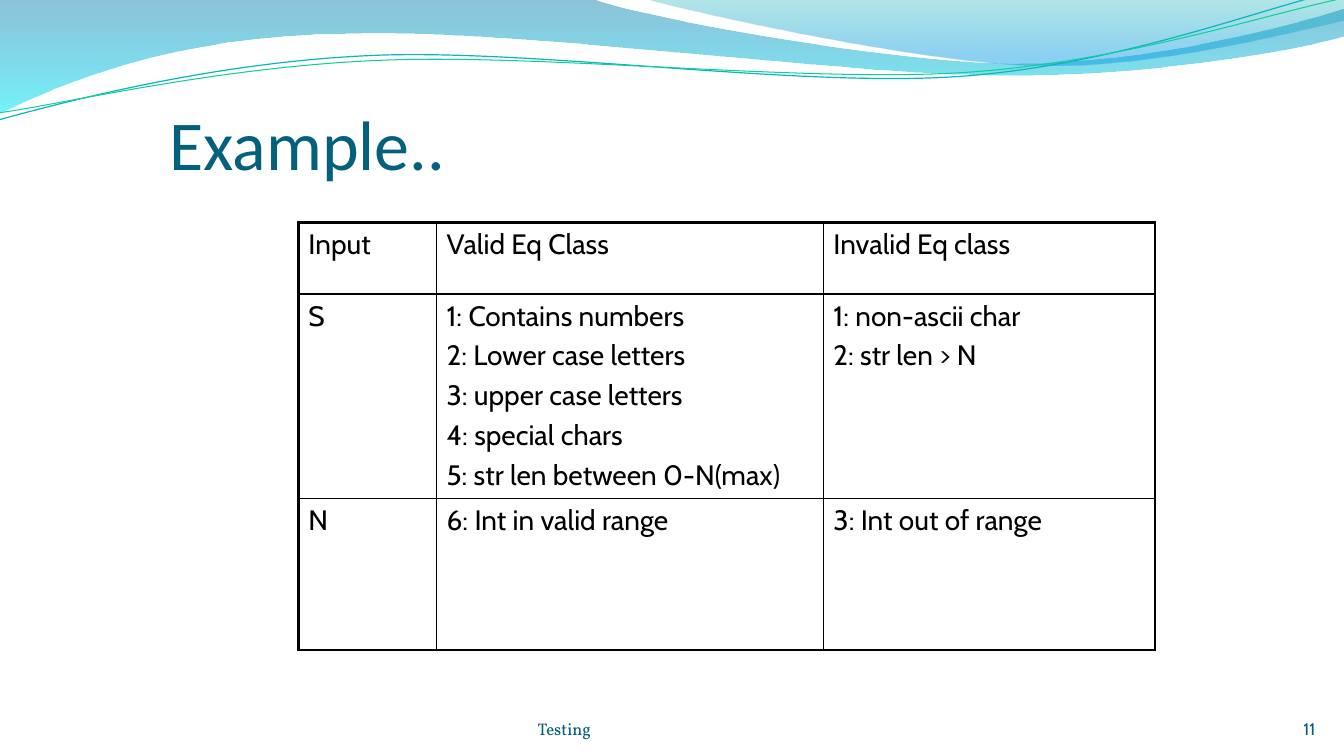
from typing import NamedTuple

from lxml.etree import SubElement as Sub
from pptx import Presentation
from pptx.dml.color import RGBColor as Rgb
from pptx.enum.text import MSO_ANCHOR as Anchor, MSO_AUTO_SIZE as Auto, PP_ALIGN as Align
from pptx.oxml.ns import qn
from pptx.util import Cm, Pt

HUES = {
    "title": "04617B", "foot": "035C75", "page": "045C75", "ink": "000000",
    "deep": "0079AD", "aqua": "00E9F7", "teal": "00ABB4", "sky": "0099E4",
    "cyan": "09B6BE", "mint": "10CF9B",
}


class Stop(NamedTuple):
    pos: int
    hue: str
    alpha: int


class Wave(NamedTuple):
    """Outline in cm: a leg of 2 numbers is straight, one of 6 is a cubic curve."""
    start: tuple
    legs: list
    stops: tuple = ()
    hue: str = ""
    width: float = 0


class Font(NamedTuple):
    name: str
    size: int
    hue: str


class Note(NamedTuple):
    text: str
    box: tuple
    font: Font
    align: Align


WAVES = [
    Wave((0, -0.03), [
        (14.91, -0.03),
        (16.1, 0.43, 22.48, 1.6, 25.68, 1.6),
        (28.91, 1.6, 32.46, 0.66, 33.86, 0.23),
        (33.91, 0.91),
        (33.3, 1.12, 29.46, 1.93, 25.25, 1.9),
        (21.06, 1.9, 12.93, 0.71, 8.71, 0.86),
        (4.37, 0.89, 1.55, 2.11, -0.03, 2.87),
        (0, -0.03),
    ], stops=(Stop(0, "deep", 45), Stop(100, "aqua", 55))),
    Wave((16.23, -0.03), [
        (17.25, 0.28, 23.09, 1.57, 26.04, 1.65),
        (28.98, 1.75, 32.56, 0.81, 33.86, 0.53),
        (33.86, 0),
        (16.23, -0.03),
    ], stops=(Stop(0, "teal", 30), Stop(80, "sky", 45), Stop(100, "sky", 45))),
    Wave((-0.03, 3.02), [
        (1.63, 2.57, 5.36, 1.57, 9.37, 1.4),
        (13.39, 1.22, 20.07, 2.21, 24.13, 1.93),
        (28.19, 1.65, 31.8, 0.2, 33.81, -0.25),
    ], hue="cyan", width=0.85),
    Wave((0, 2.84), [
        (1.6, 2.62, 5.54, 1.68, 9.6, 1.52),
        (13.64, 1.35, 20.22, 2.08, 24.26, 1.83),
        (28.32, 1.57, 31.88, 0.36, 33.88, -0.05),
    ], hue="mint", width=0.75),
]
HEAD = Font("Calibri", 50, "title")
BODY = Font("Cabin", 20, "ink")
NOTES = [
    Note("Testing", (13.55, 17.35, 10.72, 1.27), Font("Vollkorn", 12, "foot"), Align.LEFT),
    Note("11", (26.09, 17.35, 7.06, 1.27), Font("Cabin", 12, "page"), Align.RIGHT),
]
COLS = (3.48, 9.75, 8.36)
ROWS = (1.8, 5.16, 3.81)
CELLS = [
    [["Input"], ["Valid Eq Class"], ["Invalid Eq class"]],
    [["S"],
     ["1: Contains numbers", "2: Lower case letters", "3: upper case letters",
      "4: special chars", "5: str len between 0-N(max)"],
     ["1: non-ascii char", "2: str len > N"]],
    [["N"], ["6: Int in valid range"], ["3: Int out of range"]],
]


def add_run(para, text: str, font: Font) -> None:
    run = para.add_run()
    run.text = text
    run.font.name = font.name
    run.font.size = Pt(font.size)
    run.font.color.rgb = Rgb.from_string(HUES[font.hue])


def bend(shape, legs: list) -> None:
    """Join the three line steps of each curved leg into one cubic curve."""
    steps = iter(list(shape.element.iter(qn("a:lnTo"))))
    for leg in legs:
        first = next(steps)
        if len(leg) == 6:
            first.tag = qn("a:cubicBezTo")
            for step in (next(steps), next(steps)):
                first.append(step[0])
                step.getparent().remove(step)


def add_wave(slide, wave: Wave) -> None:
    pen = slide.shapes.build_freeform(*map(Cm, wave.start), scale=1.0)
    pts = [(Cm(x), Cm(y)) for leg in wave.legs for x, y in zip(leg[::2], leg[1::2])]
    pen.add_line_segments(pts, close=bool(wave.stops))
    shape = pen.convert_to_shape()
    bend(shape, wave.legs)
    shape.shadow.inherit = False
    if not wave.stops:
        shape.fill.background()
        shape.line.color.rgb = Rgb.from_string(HUES[wave.hue])
        shape.line.width = Pt(wave.width)
        return
    shape.line.fill.background()
    shape.fill.gradient()
    shape.fill.gradient_angle = 270
    ramp = shape.element.spPr.find(qn("a:gradFill")).find(qn("a:gsLst"))
    for old in list(ramp):
        ramp.remove(old)
    for stop in wave.stops:
        mark = Sub(ramp, qn("a:gs"), pos=str(stop.pos * 1000))
        tint = Sub(mark, qn("a:srgbClr"), val=HUES[stop.hue])
        Sub(tint, qn("a:alpha"), val=str(stop.alpha * 1000))


def set_frame(frame, top: float = 0) -> None:
    frame.word_wrap = True
    frame.auto_size = Auto.NONE
    frame.vertical_anchor = Anchor.BOTTOM
    frame.margin_left = frame.margin_right = frame.margin_bottom = 0
    frame.margin_top = Cm(top)


def place(shape, box: tuple) -> None:
    shape.left, shape.top, shape.width, shape.height = map(Cm, box)


def add_title(slide, text: str) -> None:
    title = slide.shapes.title
    place(title, (4.27, 0.58, 28.85, 4.06))
    set_frame(title.text_frame, 0.13)
    para = title.text_frame.paragraphs[0]
    para.alignment = Align.LEFT
    add_run(para, text, HEAD)
    title.element.getparent().append(title.element)


def add_note(slide, note: Note) -> None:
    frame = slide.shapes.add_textbox(*map(Cm, note.box)).text_frame
    set_frame(frame)
    para = frame.paragraphs[0]
    para.alignment = note.align
    add_run(para, note.text, note.font)


def add_rules(cell, row: int, col: int) -> None:
    """Draw cell borders: thick on the rim of the table, thin inside."""
    rim = {"lnL": col == 0, "lnR": col == len(COLS) - 1,
           "lnT": row == 0, "lnB": row == len(ROWS) - 1}
    props = cell._tc.get_or_add_tcPr()
    for side, thick in rim.items():
        rule = Sub(props, qn(f"a:{side}"), w=str(Pt(2.25 if thick else 1)))
        fill = Sub(rule, qn("a:solidFill"))
        Sub(fill, qn("a:srgbClr"), val=HUES["ink"])


def add_grid(slide) -> None:
    box = map(Cm, (7.52, 5.61, sum(COLS), sum(ROWS)))
    table = slide.shapes.add_table(len(ROWS), len(COLS), *box).table
    table.first_row = table.horz_banding = False
    for col, width in zip(table.columns, COLS):
        col.width = Cm(width)
    for row, height in zip(table.rows, ROWS):
        row.height = Cm(height)
    for r, line in enumerate(CELLS):
        for c, texts in enumerate(line):
            cell = table.cell(r, c)
            add_rules(cell, r, c)
            cell.fill.background()
            frame = cell.text_frame
            for n, text in enumerate(texts):
                para = frame.add_paragraph() if n else frame.paragraphs[0]
                if n:
                    para.space_before = Pt(4)
                add_run(para, text, BODY)


def main() -> None:
    deck = Presentation()
    deck.slide_width, deck.slide_height = Cm(33.87), Cm(19.05)
    slide = deck.slides.add_slide(deck.slide_layouts[5])
    for wave in WAVES:
        add_wave(slide, wave)
    add_title(slide, "Example..")
    add_grid(slide)
    for note in NOTES:
        add_note(slide, note)
    deck.save("out.pptx")


if __name__ == "__main__":
    main()
